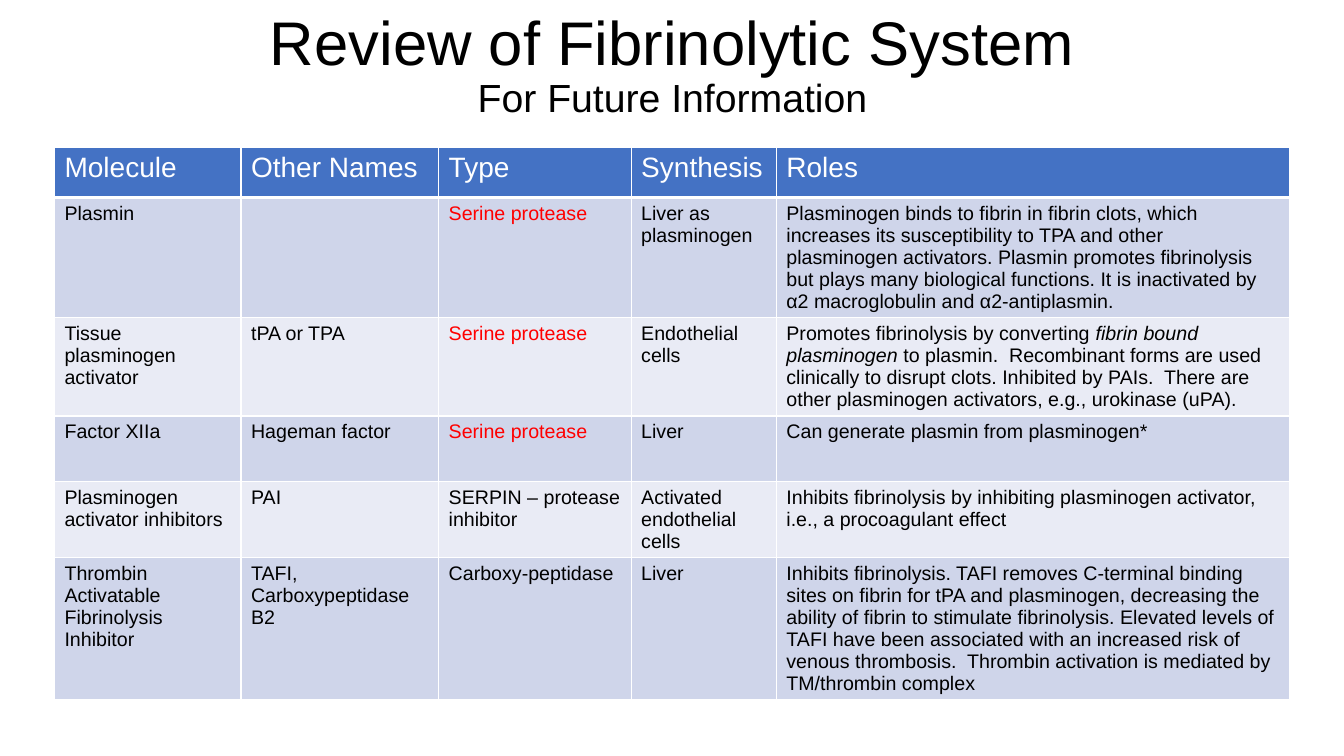
import dataclasses

import lxml.etree
import pptx
import pptx.dml.color
import pptx.enum.text
import pptx.oxml.ns
import pptx.util

Inches = pptx.util.Inches


@dataclasses.dataclass(frozen=True)
class Theme:
    font: str = "Arial"
    text: str = "000000"
    enzyme: str = "FF0000"
    white: str = "FFFFFF"
    header: str = "4472C4"
    bands: tuple = ("CFD5EA", "E9EBF5")
    title_size: int = 44
    subtitle_size: int = 28
    header_size: int = 20
    body_size: int = 14
    thin: int = 1
    thick: int = 3


THEME = Theme()
SLIDE_WIDTH, SLIDE_HEIGHT = 13.33, 7.5
COLUMN_WIDTHS = (1.85, 1.96, 1.91, 1.44, 5.09)
ROW_HEIGHTS = (0.5, 0.47, 0.83, 0.65, 0.65, 1.2)
TITLE_BOX = (2.33, 0.48, 8.68, 0.77)
TABLE_BOX = (0.54, 1.46, sum(COLUMN_WIDTHS), sum(ROW_HEIGHTS))

TITLE_LINES = (
    ("Review of Fibrinolytic System", THEME.title_size),
    ("For Future Information", THEME.subtitle_size),
)
ENZYME = "Serine protease"
# Underscores enclose italic words
MOLECULES = (
    ("Molecule", "Other Names", "Type", "Synthesis", "Roles"),
    ("Plasmin", "", ENZYME, "Liver as plasminogen",
     "Plasminogen binds to fibrin in fibrin clots, which increases its "
     "susceptibility to TPA and other plasminogen activators. Plasmin promotes "
     "fibrinolysis but plays many biological functions. It is inactivated by "
     "α2 macroglobulin and α2-antiplasmin."),
    ("Tissue plasminogen activator", "tPA or TPA", ENZYME, "Endothelial cells",
     "Promotes fibrinolysis by converting _fibrin bound plasminogen _to plasmin.  "
     "Recombinant forms are used clinically to disrupt clots. Inhibited by PAIs.  "
     "There are other plasminogen activators, e.g., urokinase (uPA)."),
    ("Factor XIIa", "Hageman factor", ENZYME, "Liver",
     "Can generate plasmin from plasminogen*"),
    ("Plasminogen activator inhibitors", "PAI", "SERPIN – protease inhibitor",
     "Activated endothelial cells",
     "Inhibits fibrinolysis by inhibiting plasminogen activator, i.e., a "
     "procoagulant effect"),
    ("Thrombin Activatable Fibrinolysis Inhibitor", "TAFI, Carboxypeptidase B2",
     "Carboxy-peptidase", "Liver",
     "Inhibits fibrinolysis. TAFI removes C-terminal binding sites on fibrin for "
     "tPA and plasminogen, decreasing the ability of fibrin to stimulate "
     "fibrinolysis. Elevated levels of TAFI have been associated with an increased "
     "risk of venous thrombosis.  Thrombin activation is mediated by TM/thrombin "
     "complex"),
)


def rgb(color):
    return pptx.dml.color.RGBColor.from_string(color)


def set_attributes(target, values):
    for name, value in values.items():
        setattr(target, name, value)


def add_span(para, text, size, color, italic=False):
    span = para.add_run()
    span.text = text
    set_attributes(span.font, {
        "name": THEME.font, "size": pptx.util.Pt(size),
        "bold": False, "italic": italic,
    })
    span.font.color.rgb = rgb(color)


def set_borders(cell, widths):
    properties = cell._tc.get_or_add_tcPr()
    for position, (side, width) in enumerate(widths.items()):
        line = lxml.etree.Element(pptx.oxml.ns.qn(f"a:ln{side}"),
                                  w=str(int(pptx.util.Pt(width))))
        fill = lxml.etree.SubElement(line, pptx.oxml.ns.qn("a:solidFill"))
        lxml.etree.SubElement(fill, pptx.oxml.ns.qn("a:srgbClr"), val=THEME.white)
        properties.insert(position, line)


def add_title(page, box):
    title = page.shapes.title
    names = ("left", "top", "width", "height")
    set_attributes(title, dict(zip(names, map(Inches, box))))
    frame = title.text_frame
    set_attributes(frame, {
        "word_wrap": True,
        "auto_size": pptx.enum.text.MSO_AUTO_SIZE.NONE,
        "vertical_anchor": pptx.enum.text.MSO_ANCHOR.BOTTOM,
    })
    for index, (text, size) in enumerate(TITLE_LINES):
        para = frame.add_paragraph() if index else frame.paragraphs[0]
        set_attributes(para, {
            "alignment": pptx.enum.text.PP_ALIGN.CENTER,
            "line_spacing": 0.9, "space_before": pptx.util.Pt(0),
        })
        add_span(para, text, size, THEME.text)


def fill_cell(cell, text, row):
    is_header = row == 0
    cell.fill.solid()
    cell.fill.fore_color.rgb = rgb(
        THEME.header if is_header else THEME.bands[(row - 1) % 2])
    set_borders(cell, {
        "L": THEME.thin, "R": THEME.thin,
        "T": THEME.thick if row == 1 else THEME.thin,
        "B": THEME.thick if is_header else THEME.thin,
    })
    size = THEME.header_size if is_header else THEME.body_size
    color = THEME.white if is_header else THEME.text
    if text == ENZYME:
        color = THEME.enzyme
    para = cell.text_frame.paragraphs[0]
    for index, part in enumerate(text.split("_")):
        if part:
            add_span(para, part, size, color, italic=index % 2 == 1)


def add_molecule_table(page, box):
    left, top, width, height = box
    table = page.shapes.add_table(len(ROW_HEIGHTS), len(COLUMN_WIDTHS),
                                  *map(Inches, box)).table
    table.horz_banding = False
    for column, share in zip(table.columns, COLUMN_WIDTHS):
        column.width = Inches(width * share / sum(COLUMN_WIDTHS))
    for row, share in zip(table.rows, ROW_HEIGHTS):
        row.height = Inches(height * share / sum(ROW_HEIGHTS))
    for row, texts in enumerate(MOLECULES):
        for column, text in enumerate(texts):
            fill_cell(table.cell(row, column), text, row)


def main():
    deck = pptx.Presentation()
    set_attributes(deck, {"slide_width": Inches(SLIDE_WIDTH),
                          "slide_height": Inches(SLIDE_HEIGHT)})
    page = deck.slides.add_slide(deck.slide_layouts.get_by_name("Title Only"))
    add_title(page, TITLE_BOX)
    add_molecule_table(page, TABLE_BOX)
    deck.save("out.pptx")


if __name__ == "__main__":
    main()
